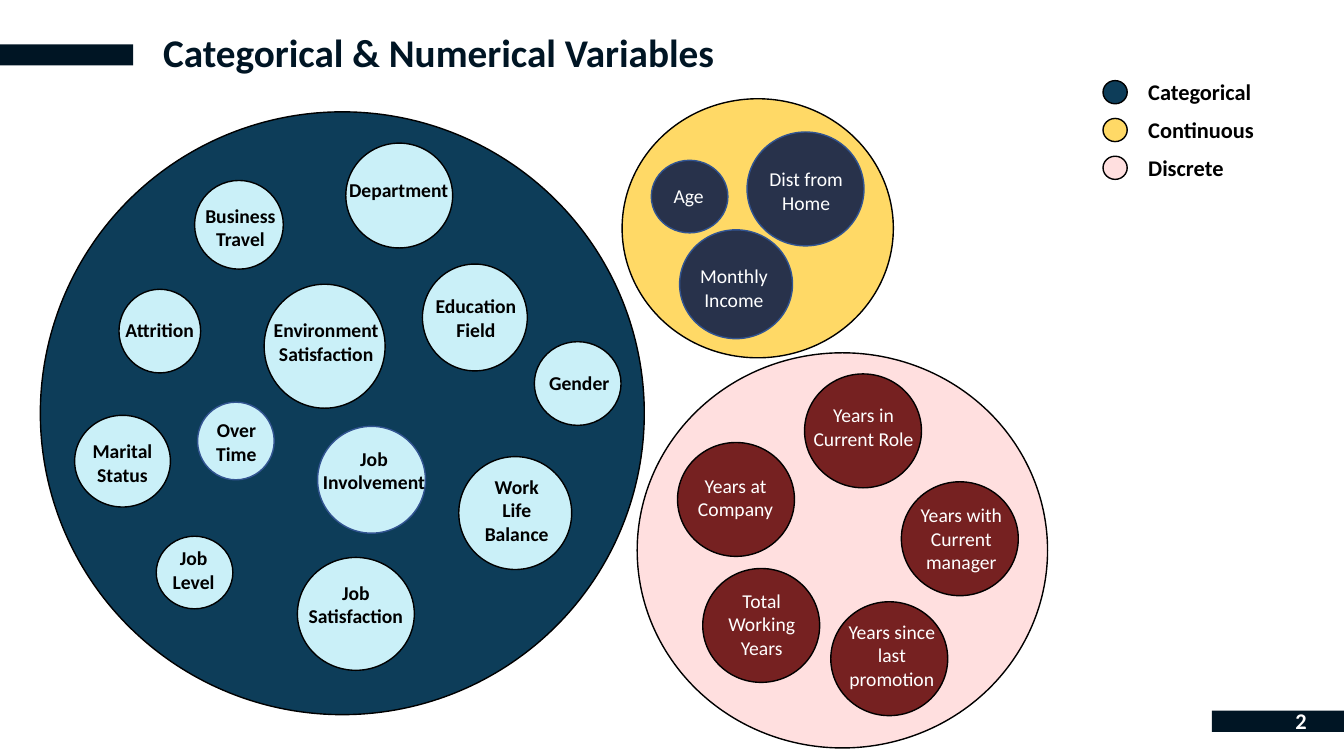
from pptx import Presentation
from pptx.dml.color import RGBColor
from pptx.enum import shapes, text
from pptx.util import Inches, Pt

# Content: bubbles are (label, circle box, label box), boxes as left, top, width, height
TITLE = "Categorical & Numerical Variables"
PAGE_NUMBER = "2"
CATEGORIES = [
    {
        "name": "Categorical", "style": "categorical", "circle": (0.4, 1.11, 5.99, 5.98),
        "bubbles": [
            ("Attrition", (1.18, 2.87, 0.81, 0.83), (1.13, 3.1, 0.91, 0.34)),
            ("Business\nTravel", (1.93, 1.79, 0.88, 0.88), (1.93, 1.97, 0.91, 0.57)),
            ("Department", (3.43, 1.42, 1.06, 1.04), (3.36, 1.72, 1.19, 0.34)),
            ("Education\nField", (4.19, 2.62, 1.04, 1.06), (4.19, 2.87, 1.06, 0.57)),
            ("Environment\nSatisfaction", (2.62, 2.82, 1.2, 1.23), (2.59, 3.11, 1.29, 0.57)),
            ("Job\nInvolvement", (3.15, 4.23, 1.07, 1.06), (3.09, 4.38, 1.24, 0.57)),
            ("Gender", (5.3, 3.39, 0.86, 0.83), (5.29, 3.63, 0.91, 0.34)),
            ("Marital Status", (0.74, 4.12, 0.95, 0.91), (0.76, 4.31, 0.91, 0.57)),
            ("Over Time", (1.96, 3.99, 0.76, 0.77), (1.89, 4.1, 0.91, 0.57)),
            ("Job Level", (1.55, 5.32, 0.76, 0.72), (1.56, 5.37, 0.72, 0.57)),
            ("Job Satisfaction", (2.95, 5.53, 1.16, 1.12), (2.95, 5.71, 1.16, 0.57)),
            ("Work Life Balance", (4.55, 4.53, 1.12, 1.12), (4.67, 4.66, 0.91, 0.81)),
        ],
    },
    {
        "name": "Continuous", "style": "continuous", "circle": (6.17, 0.98, 2.69, 2.57),
        "bubbles": [
            ("Age", (6.46, 1.59, 0.76, 0.72), (6.47, 1.78, 0.72, 0.34)),
            ("Monthly\nIncome", (6.74, 2.28, 1.12, 1.08), (6.68, 2.57, 1.2, 0.5)),
            ("Dist from Home", (7.41, 1.31, 1.16, 1.13), (7.37, 1.61, 1.25, 0.53)),
        ],
    },
    {
        "name": "Discrete", "style": "discrete", "circle": (6.32, 3.5, 4.07, 3.92),
        "bubbles": [
            ("Years at Company", (6.72, 4.39, 1.16, 1.13), (6.67, 4.65, 1.25, 0.57)),
            ("Years in Current Role", (7.98, 3.71, 1.16, 1.13), (7.94, 3.95, 1.25, 0.57)),
            ("Total Working Years", (6.97, 5.64, 1.16, 1.13), (6.93, 5.79, 1.25, 0.81)),
            ("Years with Current manager", (8.94, 4.78, 1.16, 1.13), (8.91, 4.94, 1.25, 0.81)),
            ("Years since last promotion", (8.24, 5.97, 1.16, 1.13), (8.22, 6.1, 1.25, 0.81)),
        ],
    },
]
BLUE_OUTLINED = {"Job\nInvolvement", "Over Time", "Age", "Monthly\nIncome", "Dist from Home"}
LEGEND_TOP, LEGEND_STEP = 0.8, 0.375

THEME = {
    "font": "Calibri", "bar": "001524", "black": "000000", "white": "FFFFFF", "blue": "325491",
    "title_size": 28, "label_size": 14, "legend_size": 16, "line_width": 1,
    "categorical": {"circle": "0D3D59", "bubble": "CAF0F8", "label": "000000", "bold": True},
    "continuous": {"circle": "FFD966", "bubble": "28324B", "label": "FFFFFF", "bold": False},
    "discrete": {"circle": "FFDFDF", "bubble": "762121", "label": "FFFFFF", "bold": False},
}
CIRCLE = shapes.MSO_SHAPE.FLOWCHART_CONNECTOR
CENTER, LEFT = text.PP_ALIGN.CENTER, text.PP_ALIGN.LEFT


def add_filled(parent, kind, box, fill, line=None):
    shape = parent.shapes.add_shape(kind, *map(Inches, box))
    shape.shadow.inherit = False
    shape.fill.solid()
    shape.fill.fore_color.rgb = RGBColor.from_string(fill)
    if line:
        shape.line.color.rgb = RGBColor.from_string(line)
        shape.line.width = Pt(THEME["line_width"])
    else:
        shape.line.fill.background()


def add_label(parent, words, box, size, color, bold=True, align=CENTER):
    frame = parent.shapes.add_textbox(*map(Inches, box)).text_frame
    frame.word_wrap = True
    frame.text = words
    font_format = {"name": THEME["font"], "size": Pt(size), "bold": bold}
    for paragraph in frame.paragraphs:
        paragraph.alignment = align
        for run in paragraph.runs:
            run.font.color.rgb = RGBColor.from_string(color)
            for name, value in font_format.items():
                setattr(run.font, name, value)


def add_category(slide, category):
    style = THEME[category["style"]]
    group = slide.shapes.add_group_shape()
    add_filled(group, CIRCLE, category["circle"], style["circle"], THEME["black"])
    for label, circle_box, label_box in category["bubbles"]:
        outline = THEME["blue" if label in BLUE_OUTLINED else "black"]
        add_filled(group, CIRCLE, circle_box, style["bubble"], outline)
        add_label(group, label, label_box, THEME["label_size"], style["label"], style["bold"])


def main():
    presentation = Presentation()
    presentation.slide_width, presentation.slide_height = Inches(13.33), Inches(7.5)
    slide = presentation.slides.add_slide(presentation.slide_layouts[6])

    # Title with its bar
    add_filled(slide, shapes.MSO_SHAPE.RECTANGLE, (0, 0.44, 1.32, 0.21), THEME["bar"])
    add_label(slide, TITLE, (1.32, 0.23, 6.06, 0.57), THEME["title_size"], THEME["bar"])

    # Variable groups
    for category in CATEGORIES:
        add_category(slide, category)

    # Legend
    for row, category in enumerate(CATEGORIES):
        top = LEGEND_TOP + row * LEGEND_STEP
        fill = THEME[category["style"]]["circle"]
        add_filled(slide, CIRCLE, (10.94, top, 0.24, 0.23), fill, THEME["black"])
        add_label(slide, category["name"], (11.29, top - 0.07, 1.34, 0.37),
                  THEME["legend_size"], THEME["black"], align=LEFT)

    # Page number
    footer = slide.shapes.add_group_shape()
    add_filled(footer, shapes.MSO_SHAPE.RECTANGLE, (12.02, 7.05, 1.32, 0.21), THEME["bar"])
    add_label(footer, PAGE_NUMBER, (12.75, 6.97, 0.69, 0.37),
              THEME["legend_size"], THEME["white"], align=LEFT)

    presentation.save("out.pptx")


if __name__ == "__main__":
    main()
